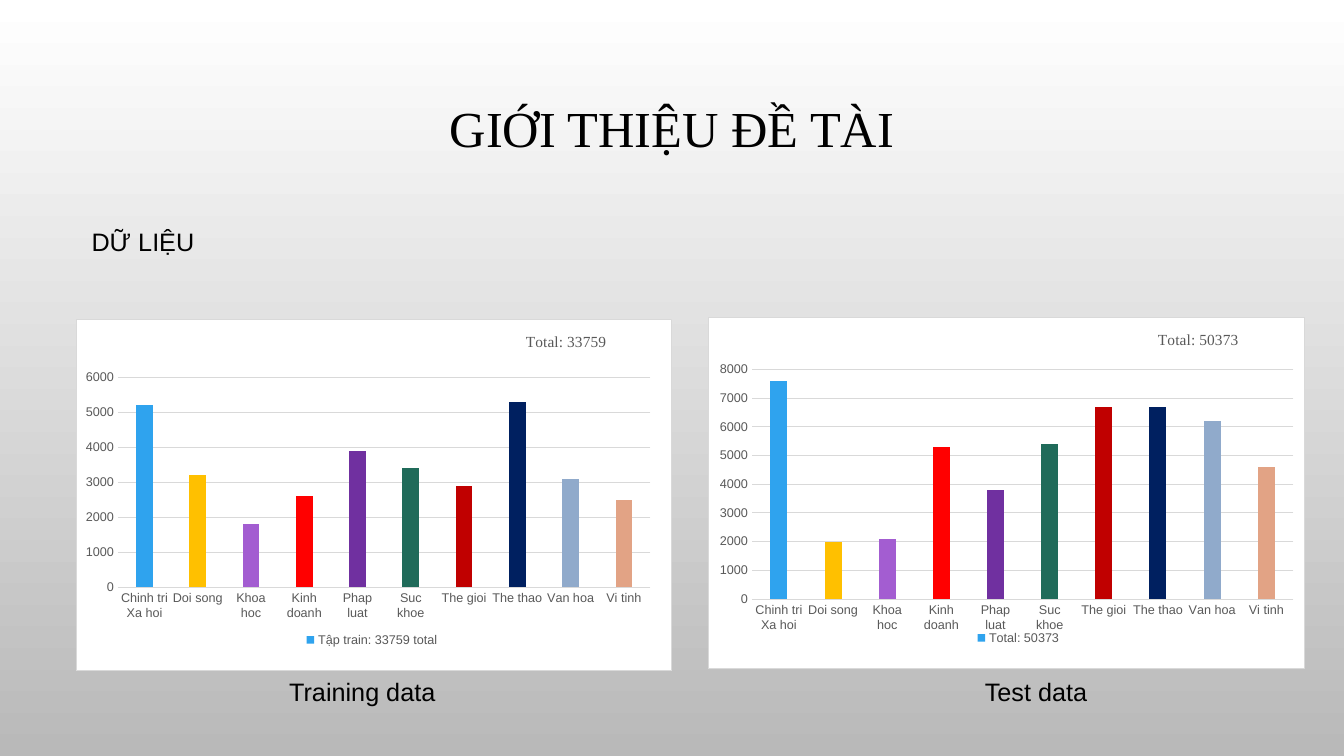
from lxml import etree
from pptx import Presentation
from pptx.chart.data import CategoryChartData
from pptx.dml.color import RGBColor
from pptx.enum.chart import XL_CHART_TYPE, XL_LEGEND_POSITION, XL_TICK_MARK
from pptx.enum.text import MSO_ANCHOR, PP_ALIGN
from pptx.oxml import parse_xml
from pptx.oxml.ns import nsdecls, qn
from pptx.util import Inches, Pt

COLUMNS = XL_CHART_TYPE.COLUMN_CLUSTERED
BOTTOM = XL_LEGEND_POSITION.BOTTOM
NO_TICK = XL_TICK_MARK.NONE
MIDDLE = MSO_ANCHOR.MIDDLE
CENTER = PP_ALIGN.CENTER

COLORS = {"text": "000000", "label": "595959", "rule": "D9D9D9",
          "panel": "FFFFFF", "sky": "FFFFFF", "ground": "B9B9B9"}
TOPIC_COLORS = {
    "Chinh tri Xa hoi": "2FA3EE", "Doi song": "FFC000", "Khoa hoc": "A35DD1",
    "Kinh doanh": "FF0000", "Phap luat": "7030A0", "Suc khoe": "206B5A",
    "The gioi": "C00000", "The thao": "002060", "Van hoa": "90AACB",
    "Vi tinh": "E2A385",
}
SANS, SERIF = "Arial", "Times New Roman"

DATASETS = [
    {"total": "Total: 33759", "series": "Tập train: 33759 total",
     "counts": [5200, 3200, 1800, 2600, 3900, 3400, 2900, 5300, 3100, 2500],
     "at": (0.75, 3.16), "top_value": 6000,
     "plot": (0.07, 0.165, 0.894, 0.598), "legend": (0.38, 0.88)},
    {"total": "Total: 50373", "series": "Total: 50373",
     "counts": [7600, 2000, 2100, 5300, 3800, 5400, 6700, 6700, 6200, 4600],
     "at": (7.02, 3.14), "top_value": 8000,
     "plot": (0.073, 0.149, 0.909, 0.653), "legend": (0.445, 0.88)},
]
CAPTIONS = [("DỮ LIỆU", 0.81, 2.2, 1.23), ("Training data", 2.77, 6.66, 1.67),
            ("Test data", 9.67, 6.66, 1.23)]


def rgb(name):
    """Return the named colour."""
    return RGBColor.from_string(COLORS[name])


def style_font(font, size, color="label", face=SANS):
    """Set face, size and colour of a font."""
    for attribute, value in {"name": face, "size": Pt(size), "bold": False}.items():
        setattr(font, attribute, value)
    font.color.rgb = rgb(color)


def paint_background(slide):
    """Fill the background with a gradient running from top to bottom."""
    fill = slide.background.fill
    fill.gradient()
    fill.gradient_angle = 270
    for stop, position, name in zip(fill.gradient_stops, (0, 1), ("sky", "ground")):
        stop.position = position
        stop.color.rgb = rgb(name)


def set_title(slide, text):
    """Place and format the title placeholder."""
    title = slide.shapes.title
    box = {"left": 1, "top": 0.68, "width": 11.33, "height": 1.75}
    for attribute, value in box.items():
        setattr(title, attribute, Inches(value))
    frame = title.text_frame
    frame.text = text
    frame.vertical_anchor = MIDDLE
    frame.margin_bottom = Inches(0.55)
    heading = frame.paragraphs[0]
    heading.alignment = CENTER
    heading.line_spacing = 0.9
    style_font(heading.runs[0].font, 36, "text", SERIF)


def add_caption(slide, text, left, top, width):
    """Add a one-line label."""
    caption = slide.shapes.add_textbox(
        Inches(left), Inches(top), Inches(width), Inches(0.4))
    frame = caption.text_frame
    frame.text = text
    frame.word_wrap = False
    style_font(frame.paragraphs[0].runs[0].font, 18, "text")


def place_part(part, *fractions):
    """Fix x, y and optionally w, h of a chart part as fractions of the chart."""
    for old_layout in part.findall(qn("c:layout")):
        part.remove(old_layout)
    layout = parse_xml(f'<c:layout {nsdecls("c")}><c:manualLayout/></c:layout>')
    settings = [("xMode", "edge"), ("yMode", "edge"), *zip("xywh", fractions)]
    if len(fractions) == 4:
        settings.insert(0, ("layoutTarget", "inner"))
    for tag, value in settings:
        etree.SubElement(layout[0], qn(f"c:{tag}")).set("val", str(value))
    overlay = part.find(qn("c:overlay"))
    if overlay is None:
        part.insert(0, layout)
    else:
        overlay.addprevious(layout)


def frame_chart(chart):
    """Give the chart area a white fill and a thin border."""
    panel = parse_xml(
        f'<c:spPr {nsdecls("c", "a")}>'
        f'<a:solidFill><a:srgbClr val="{COLORS["panel"]}"/></a:solidFill>'
        f'<a:ln w="{Pt(0.75)}"><a:solidFill><a:srgbClr val="{COLORS["rule"]}"/>'
        '</a:solidFill></a:ln></c:spPr>')
    chart.element.find(qn("c:chart")).addnext(panel)


def format_axes(chart, top_value):
    """Format both axes and the gridlines."""
    counts, topics = chart.value_axis, chart.category_axis
    for axis in (counts, topics):
        axis.major_tick_mark = axis.minor_tick_mark = NO_TICK
        style_font(axis.tick_labels.font, 9)
    scale = {"minimum_scale": 0, "maximum_scale": top_value, "major_unit": 1000}
    for attribute, value in scale.items():
        setattr(counts, attribute, value)
    counts.format.line.fill.background()
    for line in (topics.format.line, counts.major_gridlines.format.line):
        line.color.rgb = rgb("rule")
        line.width = Pt(0.75)


def add_topic_chart(slide, dataset):
    """Add a column chart of article counts, one colour per topic."""
    data = CategoryChartData()
    data.categories = list(TOPIC_COLORS)
    data.add_series(dataset["series"], dataset["counts"])
    left, top = dataset["at"]
    chart = slide.shapes.add_chart(COLUMNS, Inches(left), Inches(top),
                                   Inches(5.92), Inches(3.5), data).chart
    style_font(chart.font, 10, "text")
    frame_chart(chart)
    format_axes(chart, dataset["top_value"])

    plot = chart.plots[0]
    for attribute, value in {"gap_width": 219, "overlap": -27,
                             "vary_by_categories": False}.items():
        setattr(plot, attribute, value)
    columns = plot.series[0]
    first_color, *other_colors = map(RGBColor.from_string, TOPIC_COLORS.values())
    columns.format.fill.solid()
    columns.format.fill.fore_color.rgb = first_color
    for index, color in enumerate(other_colors, 1):
        fill = columns.points[index].format.fill
        fill.solid()
        fill.fore_color.rgb = color

    total = chart.chart_title
    total.text_frame.text = dataset["total"]
    style_font(total.text_frame.paragraphs[0].runs[0].font, 11, face=SERIF)
    total.include_in_layout = False

    chart.has_legend = True
    legend = chart.legend
    legend.position = BOTTOM
    legend.include_in_layout = False
    style_font(legend.font, 9)

    place_part(total._element, 0.75, 0.03)
    place_part(legend._element, *dataset["legend"])
    place_part(chart.element.find(f'.//{qn("c:plotArea")}'), *dataset["plot"])


def main():
    """Build the slide and save it."""
    deck = Presentation()
    deck.slide_width, deck.slide_height = Inches(13.33), Inches(7.5)
    slide = deck.slides.add_slide(deck.slide_layouts[5])
    paint_background(slide)
    set_title(slide, "GIỚI THIỆU ĐỀ TÀI")
    for dataset in DATASETS:
        add_topic_chart(slide, dataset)
    for caption in CAPTIONS:
        add_caption(slide, *caption)
    deck.save("out.pptx")


main()
